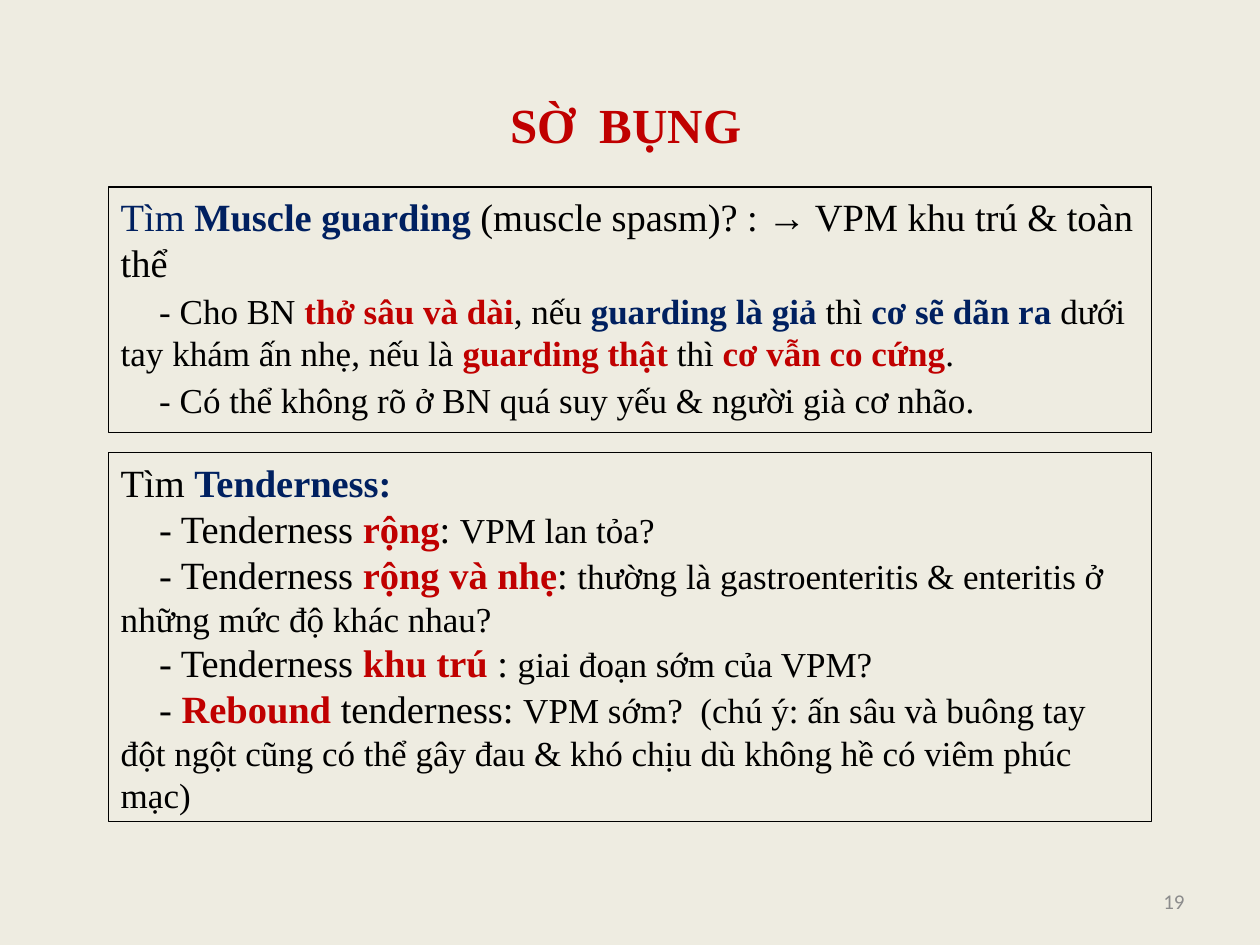
import pptx
import pptx.util
import pptx.dml.color
import pptx.enum.shapes
import pptx.enum.text

Pt = pptx.util.Pt
RGBColor = pptx.dml.color.RGBColor
ALIGN = pptx.enum.text.PP_ALIGN
ANCHOR = pptx.enum.text.MSO_ANCHOR
AUTO_SIZE = pptx.enum.text.MSO_AUTO_SIZE

BACKGROUND = RGBColor(0xEE, 0xEC, 0xE1)
BLACK = RGBColor(0, 0, 0)
NAVY = RGBColor(0x00, 0x20, 0x60)
RED = RGBColor(0xC0, 0x00, 0x00)
GRAY = RGBColor(0x8C, 0x8C, 0x8C)

SERIF = "Times New Roman"
LARGE, SMALL = 22, 20
INDENT = 22
BOX_LEFT, BOX_WIDTH = 61.9, 596.2

# Each paragraph is a list of runs: text, size, colour, bold
GUARDING = [
    [("Tìm", LARGE, NAVY, False),
     (" Muscle guarding ", LARGE, NAVY, True),
     ("(muscle spasm)? : → VPM khu trú & toàn thể", LARGE, BLACK, False)],
    [("- Cho BN ", SMALL, BLACK, False),
     ("thở sâu và dài", SMALL, RED, True),
     (", nếu ", SMALL, BLACK, False),
     ("guarding là giả ", SMALL, NAVY, True),
     ("thì ", SMALL, BLACK, False),
     ("cơ sẽ dãn ra ", SMALL, NAVY, True),
     ("dưới tay khám ấn nhẹ, nếu là ", SMALL, BLACK, False),
     ("guarding thật ", SMALL, RED, True),
     ("thì ", SMALL, BLACK, False),
     ("cơ vẫn co cứng", SMALL, RED, True),
     (".", SMALL, BLACK, False)],
    [("- Có thể không rõ ở BN quá suy yếu & người già cơ nhão.",
      SMALL, BLACK, False)],
]


def finding(before, keyword, after, meaning):
    return [(before, LARGE, BLACK, False), (keyword, LARGE, RED, True),
            (after, LARGE, BLACK, False), (meaning, SMALL, BLACK, False)]


TENDERNESS = [
    [("Tìm ", LARGE, BLACK, False), ("Tenderness:", LARGE, NAVY, True)],
    finding("- Tenderness ", "rộng", ": ", "VPM lan tỏa?"),
    finding("- Tenderness ", "rộng và nhẹ", ": ",
            "thường là gastroenteritis & enteritis ở những mức độ khác nhau?"),
    finding("- Tenderness ", "khu trú ", ": ", "giai đoạn sớm của VPM?"),
    finding("- ", "Rebound", " tenderness: ",
            "VPM sớm?  (chú ý: ấn sâu và buông tay đột ngột cũng có thể "
            "gây đau & khó chịu dù không hề có viêm phúc mạc)"),
]


def add_text(paragraph, text, size=LARGE, color=BLACK, bold=False, font=SERIF):
    run = paragraph.add_run()
    run.text = text
    run.font.name = font
    run.font.size = Pt(size)
    run.font.bold = bold
    run.font.color.rgb = color


def place_title(slide, left, top, width, height):
    title = slide.shapes.title
    title.left, title.top = Pt(left), Pt(top)
    title.width, title.height = Pt(width), Pt(height)
    frame = title.text_frame
    frame.word_wrap = True
    frame.auto_size = AUTO_SIZE.SHAPE_TO_FIT_TEXT
    frame.vertical_anchor = ANCHOR.TOP
    paragraph = frame.paragraphs[0]
    paragraph.alignment = ALIGN.CENTER
    add_text(paragraph, "SỜ  BỤNG", size=28, color=RED, bold=True)


def place_finding_box(slide, paragraphs, left, top, width, height, gap=0):
    box = slide.shapes.add_shape(
        pptx.enum.shapes.MSO_SHAPE.RECTANGLE,
        Pt(left), Pt(top), Pt(width), Pt(height))
    box.shadow.inherit = False
    box.fill.background()
    box.line.color.rgb = BLACK
    box.line.width = Pt(0.75)
    frame = box.text_frame
    frame.word_wrap = True
    frame.auto_size = AUTO_SIZE.SHAPE_TO_FIT_TEXT
    frame.vertical_anchor = ANCHOR.TOP
    for index, runs in enumerate(paragraphs):
        paragraph = frame.add_paragraph() if index else frame.paragraphs[0]
        paragraph.alignment = ALIGN.LEFT
        # Items under the heading start with a first-line indent
        if index:
            paragraph.space_before = Pt(gap)
            properties = paragraph._p.get_or_add_pPr()
            properties.set("marL", "0")
            properties.set("indent", str(Pt(INDENT)))
        for text, size, color, bold in runs:
            add_text(paragraph, text, size=size, color=color, bold=bold)


def place_slide_number(slide, left, top, width, height):
    box = slide.shapes.add_textbox(Pt(left), Pt(top), Pt(width), Pt(height))
    frame = box.text_frame
    frame.word_wrap = True
    frame.vertical_anchor = ANCHOR.MIDDLE
    paragraph = frame.paragraphs[0]
    paragraph.alignment = ALIGN.RIGHT
    add_text(paragraph, "19", size=12, color=GRAY, font="Calibri")


def main():
    presentation = pptx.Presentation()
    presentation.slide_width, presentation.slide_height = Pt(720), Pt(540)
    title_only = presentation.slide_layouts.get_by_name("Title Only")
    slide = presentation.slides.add_slide(title_only)
    slide.background.fill.solid()
    slide.background.fill.fore_color.rgb = BACKGROUND

    place_title(slide, 219.6, 50.4, 275.8, 41)
    place_finding_box(slide, GUARDING, BOX_LEFT, 106.8, BOX_WIDTH, 140.4, gap=2.5)
    place_finding_box(slide, TENDERNESS, BOX_LEFT, 258.5, BOX_WIDTH, 211)
    place_slide_number(slide, 516, 500.5, 168, 28.75)
    presentation.save("out.pptx")


if __name__ == "__main__":
    main()
